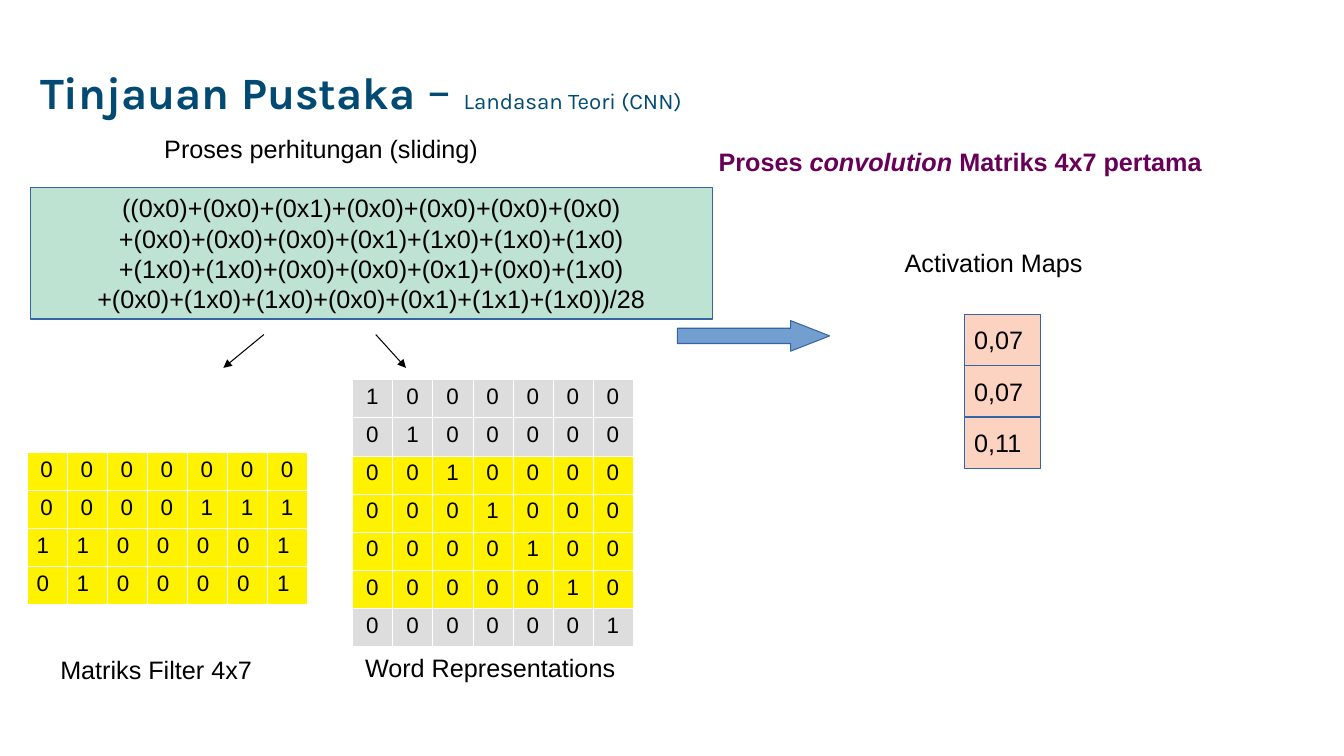
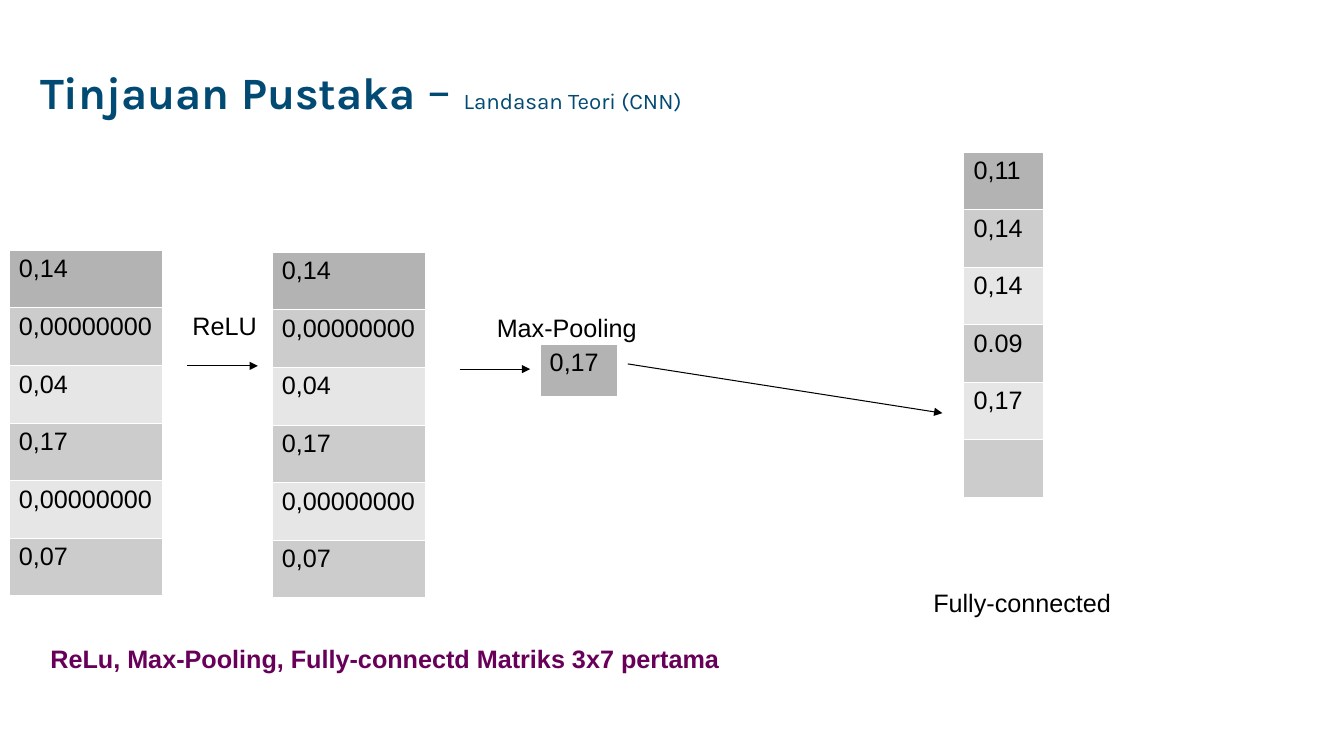
from dataclasses import dataclass

from lxml.etree import SubElement
from pptx import Presentation
from pptx.dml.color import RGBColor as RGB
from pptx.enum.shapes import MSO_CONNECTOR as Connector, MSO_SHAPE as Shape
from pptx.enum.text import MSO_ANCHOR as Anchor, PP_ALIGN as Align
from pptx.oxml.ns import qn
from pptx.util import Cm, Pt


@dataclass(frozen=True)
class Theme:
    title_font: str = "Karla"
    body_font: str = "Arial"
    title_size: int = 32
    dash_size: int = 36
    small_size: int = 16
    body_size: int = 18
    line_width: float = 0.75
    border_width: float = 0.06
    title: RGB = RGB.from_string("014A73")
    caption: RGB = RGB.from_string("680059")
    ink: RGB = RGB.from_string("000000")
    white: RGB = RGB.from_string("FFFFFF")
    outline: RGB = RGB.from_string("3465A4")
    arrow: RGB = RGB.from_string("729FCF")
    formula: RGB = RGB.from_string("BEE3D3")
    activation: RGB = RGB.from_string("FCD3C1")
    window: RGB = RGB.from_string("FFF200")
    outside: RGB = RGB.from_string("DDDDDD")
    column_head: RGB = RGB.from_string("B3B3B3")
    column_dark: RGB = RGB.from_string("CCCCCC")
    column_light: RGB = RGB.from_string("E6E6E6")


THEME = Theme()

FORMULA = """((0x0)+(0x0)+(0x1)+(0x0)+(0x0)+(0x0)+(0x0)
+(0x0)+(0x0)+(0x0)+(0x1)+(1x0)+(1x0)+(1x0)
+(1x0)+(1x0)+(0x0)+(0x0)+(0x1)+(0x0)+(1x0)
+(0x0)+(1x0)+(1x0)+(0x0)+(0x1)+(1x1)+(1x0))/28"""
FILTER_ROWS = ["0000000", "0000111", "1100001", "0100001"]
WORD_COUNT = 7
WINDOW_ROWS = range(2, 6)
FEATURES = ["0,14", "0,00000000", "0,04", "0,17", "0,00000000", "0,07"]
CONNECTED = ["0,11", "0,14", "0,14", "0.09", "0,17", ""]


def style_run(run, size=THEME.body_size, color=THEME.ink, bold=False,
              italic=False, font=THEME.body_font):
    run.font.name = font
    run.font.size = Pt(size)
    run.font.color.rgb = color
    run.font.bold = bold
    run.font.italic = italic


def write(frame, text, align=Align.LEFT, size=THEME.body_size):
    frame.text = text
    for paragraph in frame.paragraphs:
        paragraph.alignment = align
        for run in paragraph.runs:
            style_run(run, size)


def add_rich_text(slide, left, top, width, height, parts):
    """Add one paragraph made of (text, run style) parts."""
    frame = slide.shapes.add_textbox(
        Cm(left), Cm(top), Cm(width), Cm(height)).text_frame
    frame.word_wrap = True
    for text, style in parts:
        run = frame.paragraphs[0].add_run()
        run.text = text
        style_run(run, **style)
    return frame


def add_title(slide):
    look = {"font": THEME.title_font, "color": THEME.title}
    frame = add_rich_text(slide, 0.76, 0.51, 19.3, 3.68, [
        ("Tinjauan Pustaka", {**look, "size": THEME.title_size, "bold": True}),
        (" – ", {**look, "size": THEME.dash_size}),
        ("Landasan Teori (CNN)", {**look, "size": THEME.small_size}),
    ])
    frame.vertical_anchor = Anchor.MIDDLE
    frame.paragraphs[0].line_spacing = 0.9


def add_label(slide, left, top, width, text):
    add_rich_text(slide, left, top, width, 0.97, [(text, {})])


def add_caption(slide, left, top, width, *parts):
    """Add a bold caption; every second part is italic."""
    add_rich_text(slide, left, top, width, 1.68, [
        (text, {"color": THEME.caption, "bold": True, "italic": index % 2 == 1})
        for index, text in enumerate(parts)])


def add_outlined(slide, preset, left, top, width, height, fill):
    shape = slide.shapes.add_shape(
        preset, Cm(left), Cm(top), Cm(width), Cm(height))
    shape.shadow.inherit = False
    shape.fill.solid()
    shape.fill.fore_color.rgb = fill
    shape.line.color.rgb = THEME.outline
    shape.line.width = Pt(THEME.line_width)
    return shape


def add_box(slide, left, top, width, height, fill, text, align=Align.LEFT):
    frame = add_outlined(
        slide, Shape.RECTANGLE, left, top, width, height, fill).text_frame
    frame.word_wrap = True
    frame.vertical_anchor = Anchor.MIDDLE
    write(frame, text, align)


def add_arrow(slide, x1, y1, x2, y2):
    arrow = slide.shapes.add_connector(
        Connector.STRAIGHT, Cm(x1), Cm(y1), Cm(x2), Cm(y2))
    arrow.line.color.rgb = THEME.ink
    arrow.line.width = Pt(THEME.line_width)
    SubElement(arrow.line._get_or_add_ln(), qn("a:tailEnd"), type="triangle")
    SubElement(arrow._element.spPr, qn("a:effectLst"))


def set_borders(cell):
    properties = cell._tc.get_or_add_tcPr()
    for index, side in enumerate(("lnL", "lnR", "lnT", "lnB")):
        line = properties.makeelement(
            qn(f"a:{side}"), {"w": str(Pt(THEME.border_width))})
        fill = SubElement(line, qn("a:solidFill"))
        SubElement(fill, qn("a:srgbClr"), val=str(THEME.white))
        properties.insert(index, line)


def add_grid(slide, left, top, cell_width, cell_height, rows, fills, aligns,
             size=THEME.body_size):
    """Add a table with one fill and one alignment for each row."""
    row_count, column_count = len(rows), len(rows[0])
    table = slide.shapes.add_table(
        row_count, column_count, Cm(left), Cm(top),
        Cm(cell_width * column_count), Cm(cell_height * row_count)).table
    table.first_row = table.horz_banding = False
    for column in table.columns:
        column.width = Cm(cell_width)
    for row, values, fill, align in zip(table.rows, rows, fills, aligns):
        row.height = Cm(cell_height)
        for cell, value in zip(row.cells, values):
            write(cell.text_frame, value, align, size)
            cell.fill.solid()
            cell.fill.fore_color.rgb = fill
            set_borders(cell)


def add_matrix(slide, left, top, rows, fills, aligns):
    add_grid(slide, left, top, 1.01, 0.96, rows, fills, aligns,
             THEME.small_size)


def add_value_column(slide, left, top, width, values, height=1.45):
    bands = [THEME.column_dark, THEME.column_light]
    fills = [THEME.column_head] + [bands[i % 2] for i in range(len(values) - 1)]
    add_grid(slide, left, top, width, height, [[value] for value in values],
             fills, [Align.LEFT] * len(values))


def build_convolution(slide):
    add_title(slide)
    words = ["".join("1" if row == column else "0"
                     for column in range(WORD_COUNT))
             for row in range(WORD_COUNT)]
    word_fills = [THEME.window if row in WINDOW_ROWS else THEME.outside
                  for row in range(WORD_COUNT)]
    add_matrix(slide, 8.88, 9.56, words, word_fills,
               [Align.CENTER] * WORD_COUNT)
    add_matrix(slide, 0.67, 11.39, FILTER_ROWS,
               [THEME.window] * len(FILTER_ROWS),
               [Align.CENTER] * 2 + [Align.LEFT] * 2)

    result_arrow = add_outlined(
        slide, Shape.RIGHT_ARROW, 17.07, 8.08, 3.84, 0.77, THEME.arrow)
    result_arrow.adjustments[1] = 1.28
    for index, activation in enumerate(["0,07", "0,07", "0,11"]):
        add_box(slide, 24.3, 7.92 + 1.3 * index, 1.93, 1.28,
                THEME.activation, activation)

    add_label(slide, 1.27, 16.36, 6.17, "Matriks Filter 4x7")
    add_label(slide, 8.95, 16.31, 7.72, "Word Representations")
    add_label(slide, 3.89, 3.23, 9.42, "Proses perhitungan (sliding)")
    add_label(slide, 22.55, 6.1, 5.56, "Activation Maps")
    add_arrow(slide, 6.65, 8.43, 5.63, 9.27)
    add_arrow(slide, 9.47, 8.43, 10.23, 9.27)
    add_caption(slide, 17.86, 3.56, 14.99,
                "Proses ", "convolution", " Matriks 4x7 pertama")
    add_box(slide, 0.76, 4.72, 17.2, 3.32, THEME.formula, FORMULA,
            Align.CENTER)


def build_pooling(slide):
    add_title(slide)
    add_value_column(slide, 0.22, 6.3, 3.87, FEATURES)
    add_value_column(slide, 6.85, 6.35, 3.87, FEATURES)
    add_value_column(slide, 13.6, 8.66, 1.96, ["0,17"], height=1.32)
    add_value_column(slide, 24.28, 3.82, 2.01, CONNECTED)

    add_arrow(slide, 4.72, 9.22, 6.5, 9.22)
    add_arrow(slide, 11.58, 9.3, 13.36, 9.3)
    add_arrow(slide, 15.82, 9.17, 23.75, 10.41)
    add_label(slide, 4.6, 7.7, 2.2, "ReLU")
    add_label(slide, 12.27, 7.75, 4.93, "Max-Pooling")
    add_label(slide, 23.27, 14.68, 5.77, "Fully-connected")
    add_caption(slide, 1.02, 16.08, 21.23,
                "ReLu, Max-Pooling, Fully-connectd Matriks 3x7 pertama")


def main():
    deck = Presentation()
    deck.slide_width, deck.slide_height = Cm(33.87), Cm(19.05)
    blank = deck.slide_layouts[6]
    for build in (build_convolution, build_pooling):
        build(deck.slides.add_slide(blank))
    deck.save("out.pptx")


if __name__ == "__main__":
    main()
